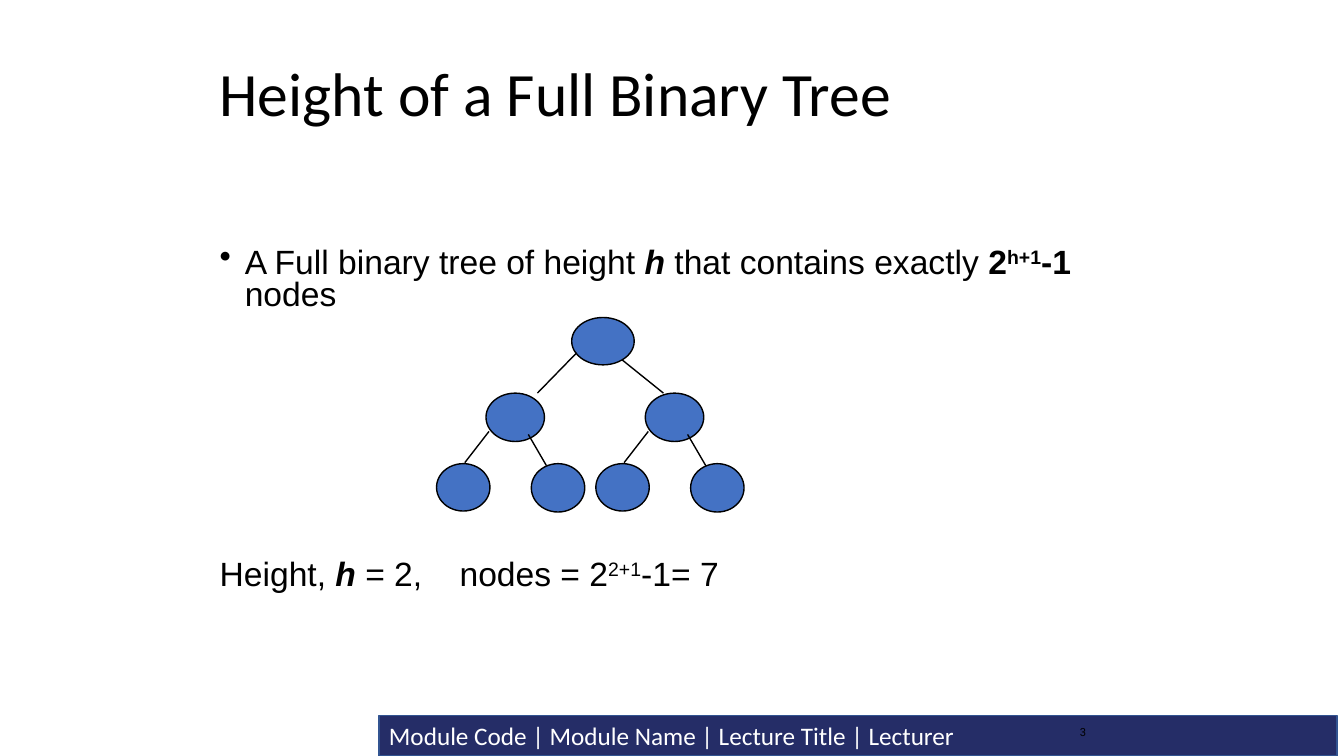
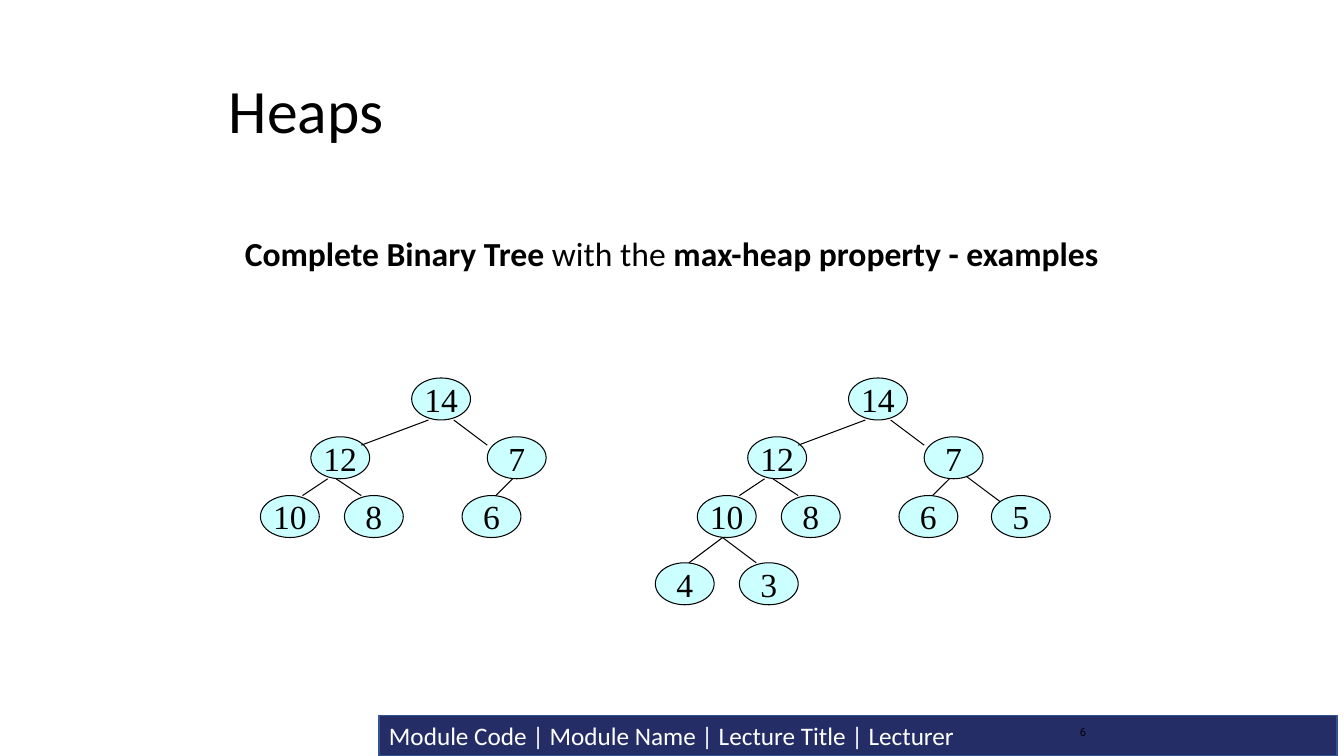
"""Build two slides on full binary trees and heaps."""
from lxml.etree import SubElement
from pptx import Presentation
from pptx.dml.color import RGBColor
from pptx.enum.shapes import MSO_CONNECTOR, MSO_SHAPE
from pptx.enum.text import MSO_ANCHOR, PP_ALIGN
from pptx.oxml.ns import qn
from pptx.util import Inches, Pt

BLACK, WHITE = "000000", "FFFFFF"
NAVY, BAND_EDGE = "252D67", "325491"
BLUE, PALE_CYAN = "4472C4", "CCFFFF"

FOOTER = "Module Code | Module Name | Lecture Title | Lecturer"
BOLD, TERM, RAISED, BOLD_RAISED = "b", "bi", "^", "b^"

FULL_TREE_RULE = [
    ("A Full binary tree of height ", ""), ("h", TERM), (" that contains exactly ", ""),
    ("2", BOLD), ("h+1", BOLD_RAISED), ("-1", BOLD), (" nodes", ""),
]
FULL_TREE_EXAMPLE = [
    ("Height, ", ""), ("h ", TERM), ("= 2,\tnodes = 2", ""), ("2+1", RAISED), ("-1= 7", ""),
]
HEAP_RULE = [
    ("Complete Binary Tree", BOLD), (" with the ", ""), ("max-heap property - examples", BOLD),
]

ROOT_NODE = (5.67, 3.15, 0.62, 0.47)
ROOT_EDGES = [(5.72, 3.5, 5.33, 3.9), (6.17, 3.57, 6.58, 3.9)]
SUBTREE_NODES = [(4.82, 3.9, 0.58, 0.48), (5.27, 4.6, 0.53, 0.48), (4.33, 4.6, 0.53, 0.47)]
SUBTREE_EDGES = [(4.85, 4.28, 4.61, 4.59), (5.24, 4.31, 5.42, 4.62)]
SUBTREE_STEP = 1.58

CELL = 1 / 12
HEAP_NODE = (7, 5)
HEAP_STEP = 52
SMALL_HEAP = [("14", 49, 45), ("12", 37, 52), ("10", 31, 59), ("7", 58, 52), ("8", 41, 59), ("6", 55, 59)]
SMALL_HEAP_EDGES = [
    (51, 50, 43, 53), (54, 50, 58, 53), (39, 57, 36, 59), (40, 57, 43, 59), (61, 57, 59, 59),
]
LARGE_HEAP = SMALL_HEAP + [("5", 66, 59), ("4", 26, 67), ("3", 36, 67)]
LARGE_HEAP_EDGES = SMALL_HEAP_EDGES + [(34, 64, 30, 67), (34, 64, 38, 67), (63, 56.7, 67, 59.7)]


def rgb(color):
    return RGBColor.from_string(color)


def style_font(font, size, face, color):
    font.size, font.name = Pt(size), face
    font.color.rgb = rgb(color)


def add_text(slide, box, runs, size, face, spacing=1.0, anchor=MSO_ANCHOR.TOP,
             align=PP_ALIGN.LEFT, bullet=None, tab=None):
    frame = slide.shapes.add_textbox(*map(Inches, box)).text_frame
    frame.word_wrap, frame.vertical_anchor = True, anchor
    paragraph = frame.paragraphs[0]
    paragraph.alignment, paragraph.line_spacing = align, spacing
    properties = paragraph._p.get_or_add_pPr()
    if bullet:
        properties.set("marL", str(Inches(0.25)))
        properties.set("indent", str(Inches(-0.25)))
        SubElement(properties, qn("a:buChar"), char=bullet)
    if tab:
        stops = SubElement(properties, qn("a:tabLst"))
        SubElement(stops, qn("a:tab"), pos=str(Inches(tab)), algn="l")
    style_font(paragraph.font, size, face, BLACK)
    for words, marks in runs:
        run = paragraph.add_run()
        run.text = words
        if "b" in marks:
            run.font.bold = True
        if "i" in marks:
            run.font.italic = True
        if "^" in marks:
            run._r.get_or_add_rPr().set("baseline", "30000")


def add_filled(slide, preset, box, fill, edge, weight):
    shape = slide.shapes.add_shape(preset, *map(Inches, box))
    shape.shadow.inherit = False
    shape.fill.solid()
    shape.fill.fore_color.rgb = rgb(fill)
    shape.line.color.rgb, shape.line.width = rgb(edge), Pt(weight)
    return shape


def add_label(shape, words, size, face, color, align):
    frame = shape.text_frame
    frame.word_wrap, frame.vertical_anchor = False, MSO_ANCHOR.MIDDLE
    paragraph = frame.paragraphs[0]
    paragraph.text, paragraph.alignment = words, align
    style_font(paragraph.font, size, face, color)


def add_edge(slide, ends, weight):
    edge = slide.shapes.add_connector(MSO_CONNECTOR.STRAIGHT, *map(Inches, ends))
    edge.line.color.rgb, edge.line.width = rgb(BLACK), Pt(weight)
    SubElement(edge._element.spPr, qn("a:effectLst"))


def add_base_slide(deck, title, title_box, number):
    slide = deck.slides.add_slide(deck.slide_layouts[6])
    band = add_filled(slide, MSO_SHAPE.RECTANGLE, (3.76, 7.1, 9.5, 0.4), NAVY, BAND_EDGE, 1)
    add_label(band, FOOTER, 18, "Calibri", WHITE, PP_ALIGN.LEFT)
    add_text(slide, title_box, [(title, "")], 44, "Calibri", 0.9, MSO_ANCHOR.MIDDLE)
    add_text(slide, (9.79, 7.06, 1.08, 0.4), [(number, "")], 8, "Roboto",
             anchor=MSO_ANCHOR.MIDDLE, align=PP_ALIGN.RIGHT)
    return slide


def add_full_tree(slide):
    nodes, edges = [ROOT_NODE], list(ROOT_EDGES)
    for shift in (0, SUBTREE_STEP):
        nodes += [(x + shift, y, w, h) for x, y, w, h in SUBTREE_NODES]
        edges += [(x1 + shift, y1, x2 + shift, y2) for x1, y1, x2, y2 in SUBTREE_EDGES]
    for node in nodes:
        add_filled(slide, MSO_SHAPE.OVAL, node, BLUE, BLACK, 1)
    for ends in edges:
        add_edge(slide, ends, 1)


def add_heap(slide, nodes, edges, shift):
    for key, column, row in nodes:
        box = [cells * CELL for cells in (column + shift, row, *HEAP_NODE)]
        node = add_filled(slide, MSO_SHAPE.OVAL, box, PALE_CYAN, BLACK, 0.75)
        add_label(node, key, 24, "Times New Roman", BLACK, PP_ALIGN.CENTER)
    for x1, y1, x2, y2 in edges:
        add_edge(slide, [cells * CELL for cells in (x1 + shift, y1, x2 + shift, y2)], 0.75)


def main():
    deck = Presentation()
    deck.slide_width, deck.slide_height = Inches(13.33), Inches(7.5)

    tree_slide = add_base_slide(deck, "Height of a Full Binary Tree", (2.08, 0.42, 8.5, 1.08), "3")
    add_text(tree_slide, (2.08, 2.42, 9.25, 0.75), FULL_TREE_RULE, 24, "Arial", 0.8, bullet="•")
    add_text(tree_slide, (2.08, 5.51, 9.25, 0.5), FULL_TREE_EXAMPLE, 24, "Arial", 0.8, tab=2.38)
    add_full_tree(tree_slide)

    heap_slide = add_base_slide(deck, "Heaps", (2.17, 0.67, 8.52, 0.92), "6")
    add_text(heap_slide, (2.33, 2.31, 9, 0.5), HEAP_RULE, 24, "Calibri", 0.9)
    add_heap(heap_slide, SMALL_HEAP, SMALL_HEAP_EDGES, 0)
    add_heap(heap_slide, LARGE_HEAP, LARGE_HEAP_EDGES, HEAP_STEP)

    deck.save("out.pptx")


if __name__ == "__main__":
    main()
